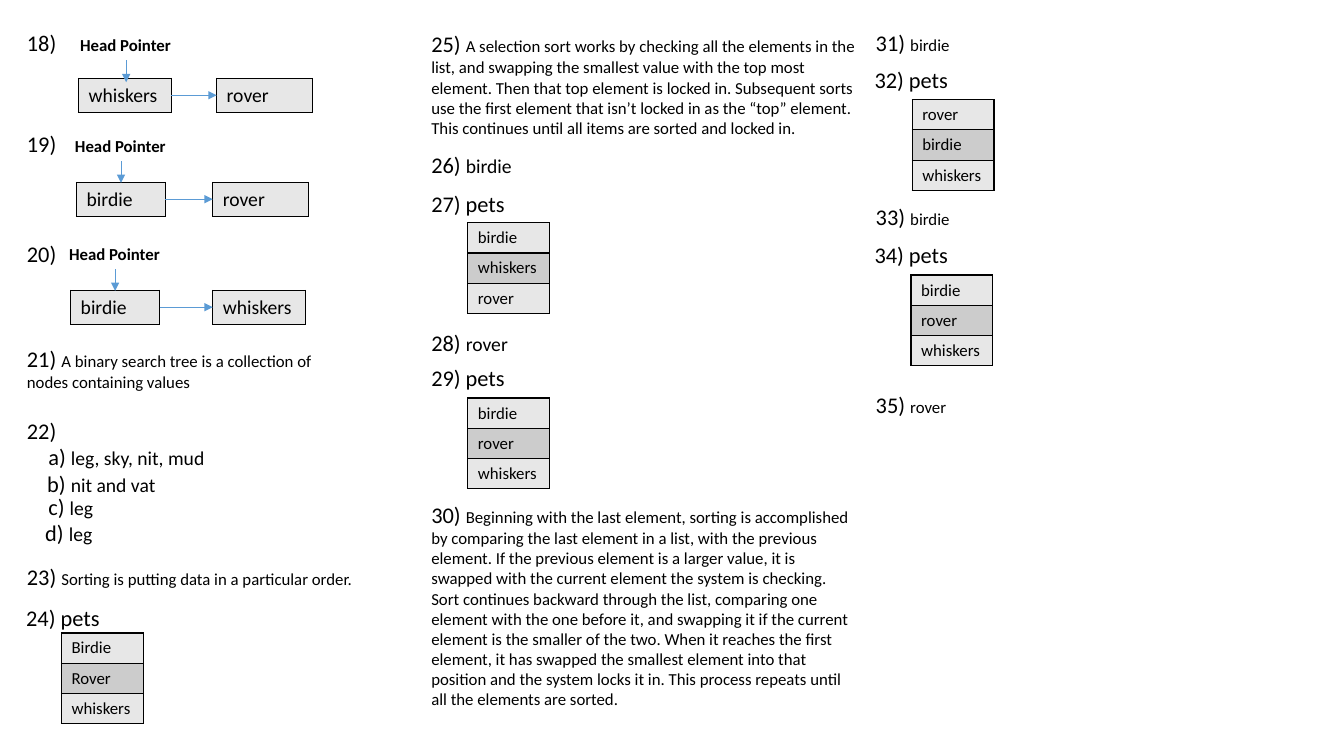
"""Build the answer sheet slide on linked lists, search trees and sorting."""
from dataclasses import dataclass
from typing import NamedTuple

from lxml.etree import SubElement
from pptx import Presentation
from pptx.dml.color import RGBColor as Color
from pptx.enum.shapes import MSO_CONNECTOR as Connector
from pptx.enum.text import MSO_AUTO_SIZE as AutoSize
from pptx.oxml.ns import qn
from pptx.slide import Slide
from pptx.util import Cm, Pt


@dataclass(frozen=True)
class Theme:
    font: str = "Calibri"
    ink: Color = Color(0x00, 0x00, 0x00)
    arrow: Color = Color(0x5B, 0x9B, 0xD5)
    light: Color = Color(0xE7, 0xE7, 0xE7)
    dark: Color = Color(0xCC, 0xCC, 0xCC)
    number: int = 16
    answer: int = 14
    small: int = 12
    border: float = 1
    arrow_width: float = 0.5


class Span(NamedTuple):
    text: str
    size: int
    bold: bool = False


class Note(NamedTuple):
    left: float
    top: float
    width: float
    number: str
    answer: str = ""
    size: int = 12
    height: float = 0.94
    wrap: bool = False


class LinkedList(NamedTuple):
    pointer_x: float
    pointer_top: float
    node_top: float
    lefts: tuple[float, float]
    names: tuple[str, str]


class Stack(NamedTuple):
    left: float
    top: float
    names: tuple[str, str, str]


THEME = Theme()
NODE_WIDTHS = {"whiskers": 2.34, "birdie": 2.24, "rover": 2.41}
NODE_HEIGHT = 0.84
STACK_WIDTH, STACK_ROW = 2.06, 0.76
LABEL_WIDTH, LABEL_HEIGHT = 2.82, 0.76
POINTER_LENGTH = 0.55
FIRST, SECOND, THIRD = 0.43, 10.62, 21.82

SELECTION_SORT = (
    "A selection sort works by checking all the elements in the list, and swapping the "
    "smallest value with the top most element. Then that top element is locked in. "
    "Subsequent sorts use the first element that isn’t locked in as the “top” element. "
    "This continues until all items are sorted and locked in."
)
BUBBLE_SORT = (
    "Beginning with the last element, sorting is accomplished by comparing the last element "
    "in a list, with the previous element. If the previous element is a larger value, it is "
    "swapped with the current element the system is checking. Sort continues backward through "
    "the list, comparing one element with the one before it, and swapping it if the current "
    "element is the smaller of the two. When it reaches the first element, it has swapped the "
    "smallest element into that position and the system locks it in. This process repeats "
    "until all the elements are sorted."
)

NOTES = [
    Note(FIRST, 0.61, 1.5, "18) ", wrap=True),
    Note(FIRST, 3.15, 1.27, "19)"),
    Note(FIRST, 5.92, 1.27, "20)"),
    Note(FIRST, 8.56, 8.13, "21) ",
         "A binary search tree is a collection of nodes containing values",
         height=1.45, wrap=True),
    Note(FIRST, 10.39, 1.27, "22)"),
    Note(0.97, 11.05, 4.5, "a) ", "leg, sky, nit, mud", THEME.answer),
    Note(0.94, 11.71, 3.28, "b) ", "nit and vat", THEME.answer),
    Note(0.97, 12.29, 1.65, "c) ", "leg", THEME.answer),
    Note(0.89, 12.95, 1.73, "d) ", "leg", THEME.answer),
    Note(FIRST, 14.07, 8.81, "23) ", "Sorting is putting data in a particular order."),
    Note(0.41, 15.09, 2.39, "24) pets"),
    Note(SECOND, 0.64, 11.2, "25) ", SELECTION_SORT, height=3, wrap=True),
    Note(SECOND, 3.68, 2.57, "26) ", "birdie", THEME.answer),
    Note(SECOND, 4.67, 2.39, "27) pets"),
    Note(SECOND, 8.18, 2.46, "28) ", "rover", THEME.answer),
    Note(SECOND, 9.04, 2.39, "29) pets"),
    Note(SECOND, 12.5, 11.2, "30) ", BUBBLE_SORT, height=5.56, wrap=True),
    Note(THIRD, 0.61, 2.39, "31) ", "birdie"),
    Note(21.79, 1.55, 2.39, "32) pets"),
    Note(THIRD, 5, 2.39, "33) ", "birdie"),
    Note(21.79, 5.94, 2.39, "34) pets"),
    Note(THIRD, 9.73, 2.31, "35) ", "rover"),
]
LINKED_LISTS = [
    LinkedList(3.18, 1.52, 1.98, (1.98, 5.46), ("whiskers", "rover")),
    LinkedList(3.05, 4.06, 4.6, (1.93, 5.36), ("birdie", "rover")),
    LinkedList(2.9, 6.78, 7.32, (1.78, 5.36), ("birdie", "whiskers")),
]
STACKS = [
    Stack(1.55, 15.95, ("Birdie", "Rover", "whiskers")),
    Stack(11.79, 5.61, ("birdie", "whiskers", "rover")),
    Stack(11.79, 10.03, ("birdie", "rover", "whiskers")),
    Stack(22.99, 2.51, ("rover", "birdie", "whiskers")),
    Stack(22.96, 6.93, ("birdie", "rover", "whiskers")),
]


def add_span(para, span: Span) -> None:
    run = para.add_run()
    run.text = span.text
    run.font.name = THEME.font
    run.font.size = Pt(span.size)
    run.font.bold = span.bold
    run.font.color.rgb = THEME.ink


def add_text(page: Slide, left: float, top: float, width: float, height: float,
             spans: list[Span], wrap: bool) -> None:
    box = page.shapes.add_textbox(Cm(left), Cm(top), Cm(width), Cm(height))
    box.text_frame.word_wrap = wrap
    box.text_frame.auto_size = AutoSize.SHAPE_TO_FIT_TEXT
    for span in spans:
        add_span(box.text_frame.paragraphs[0], span)


def add_note(page: Slide, note: Note) -> None:
    spans = [Span(note.number, THEME.number)]
    if note.answer:
        spans.append(Span(note.answer, note.size))
    add_text(page, note.left, note.top, note.width, note.height, spans, note.wrap)


def add_arrow(page: Slide, x1: float, y1: float, x2: float, y2: float) -> None:
    arrow = page.shapes.add_connector(Connector.STRAIGHT, Cm(x1), Cm(y1), Cm(x2), Cm(y2))
    arrow.line.color.rgb = THEME.arrow
    arrow.line.width = Pt(THEME.arrow_width)
    SubElement(arrow.line._get_or_add_ln(), qn("a:tailEnd"), type="triangle")
    SubElement(arrow._element.spPr, qn("a:effectLst"))


def add_borders(cell) -> None:
    properties = cell._tc.get_or_add_tcPr()
    for side in ("lnL", "lnR", "lnT", "lnB"):
        line = SubElement(properties, qn(f"a:{side}"), w=str(Pt(THEME.border)))
        fill = SubElement(line, qn("a:solidFill"))
        SubElement(fill, qn("a:srgbClr"), val=str(THEME.ink))


def add_cells(page: Slide, left: float, top: float, width: float, row_height: float,
              names: tuple[str, ...], size: int) -> None:
    table = page.shapes.add_table(len(names), 1, Cm(left), Cm(top), Cm(width),
                                  Cm(row_height * len(names))).table
    table.first_row = table.horz_banding = False
    for index, name in enumerate(names):
        cell = table.cell(index, 0)
        add_borders(cell)
        cell.fill.solid()
        cell.fill.fore_color.rgb = THEME.dark if index % 2 else THEME.light
        add_span(cell.text_frame.paragraphs[0], Span(name, size))


def add_linked_list(page: Slide, chain: LinkedList) -> None:
    for left, name in zip(chain.lefts, chain.names):
        add_cells(page, left, chain.node_top, NODE_WIDTHS[name], NODE_HEIGHT, (name,),
                  THEME.answer)
    middle = chain.node_top + NODE_HEIGHT / 2
    add_arrow(page, chain.lefts[0] + NODE_WIDTHS[chain.names[0]], middle,
              chain.lefts[1], middle)
    add_text(page, chain.pointer_x - LABEL_WIDTH / 2, chain.pointer_top - LABEL_HEIGHT,
             LABEL_WIDTH, LABEL_HEIGHT, [Span("Head Pointer", THEME.small, True)], True)
    add_arrow(page, chain.pointer_x, chain.pointer_top,
              chain.pointer_x, chain.pointer_top + POINTER_LENGTH)


deck = Presentation()
deck.slide_width, deck.slide_height = Cm(33.87), Cm(19.05)
page = deck.slides.add_slide(deck.slide_layouts[6])
for note in NOTES:
    add_note(page, note)
for chain in LINKED_LISTS:
    add_linked_list(page, chain)
for stack in STACKS:
    add_cells(page, stack.left, stack.top, STACK_WIDTH, STACK_ROW, stack.names, THEME.small)
deck.save("out.pptx")
